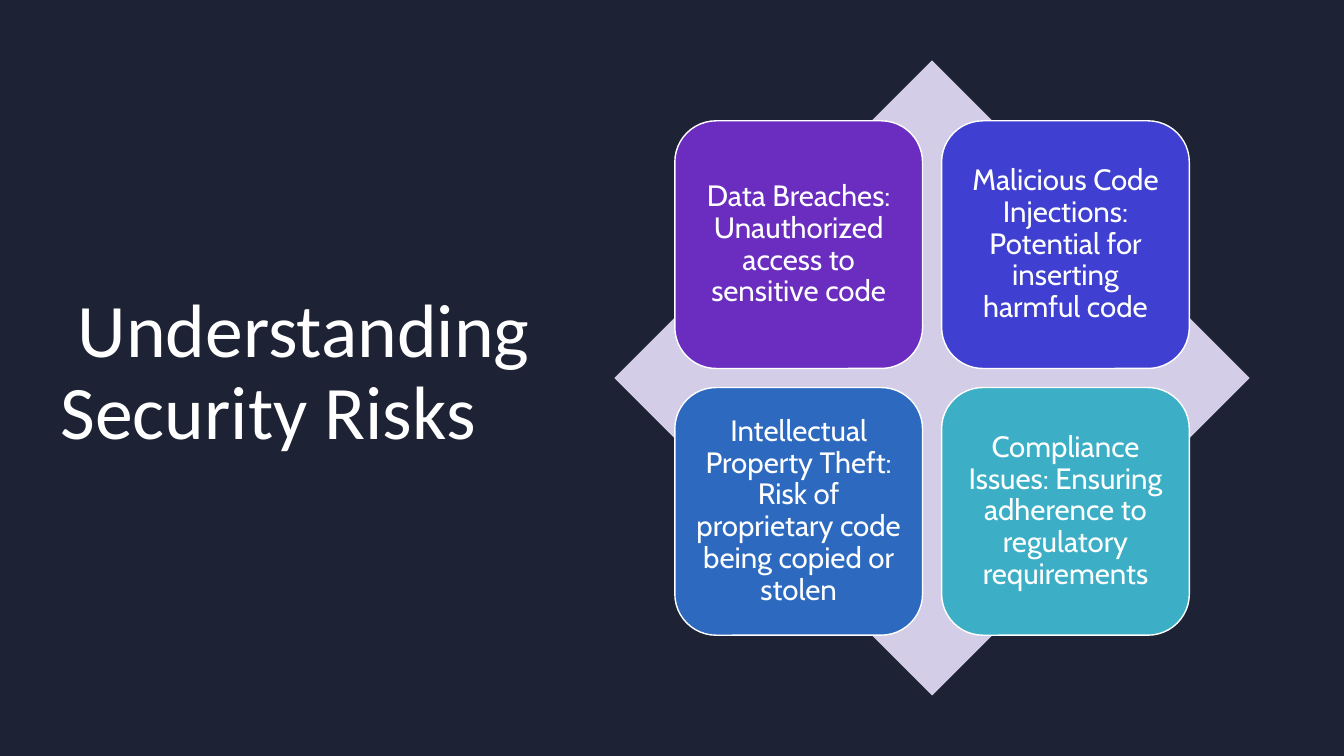
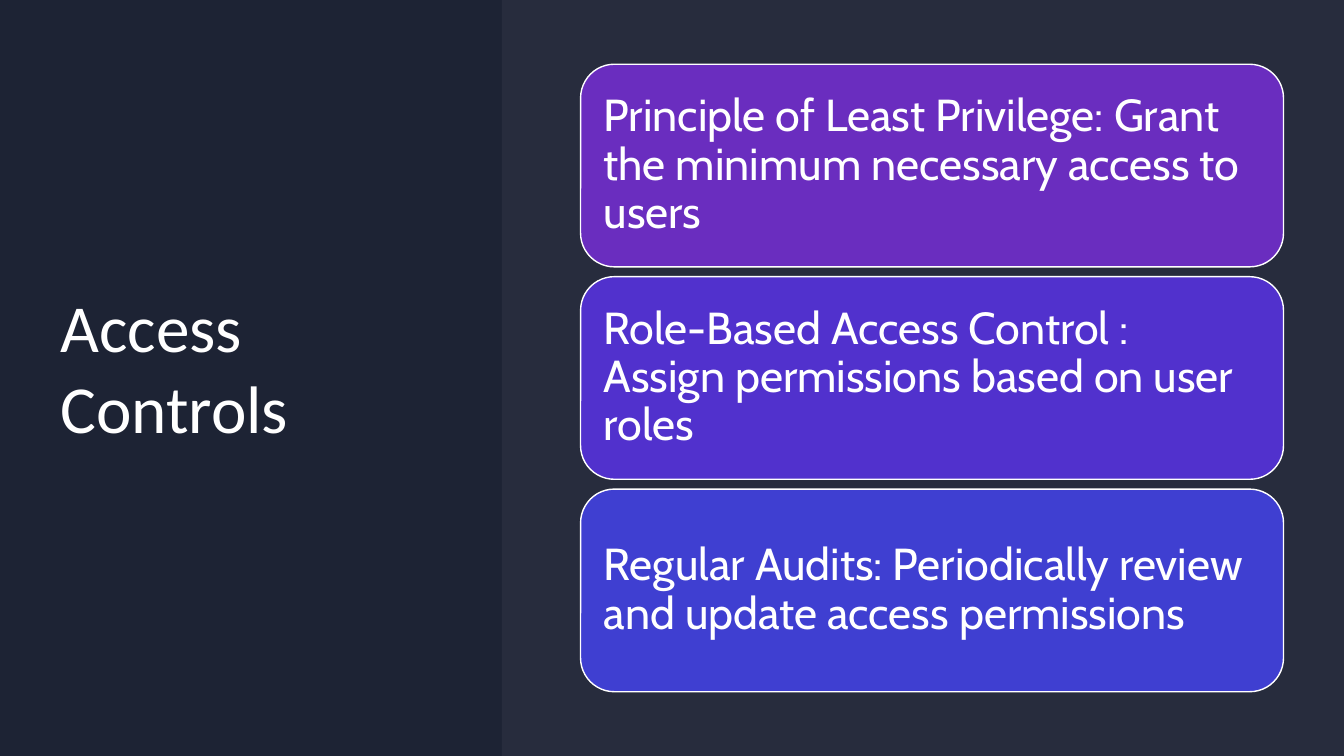
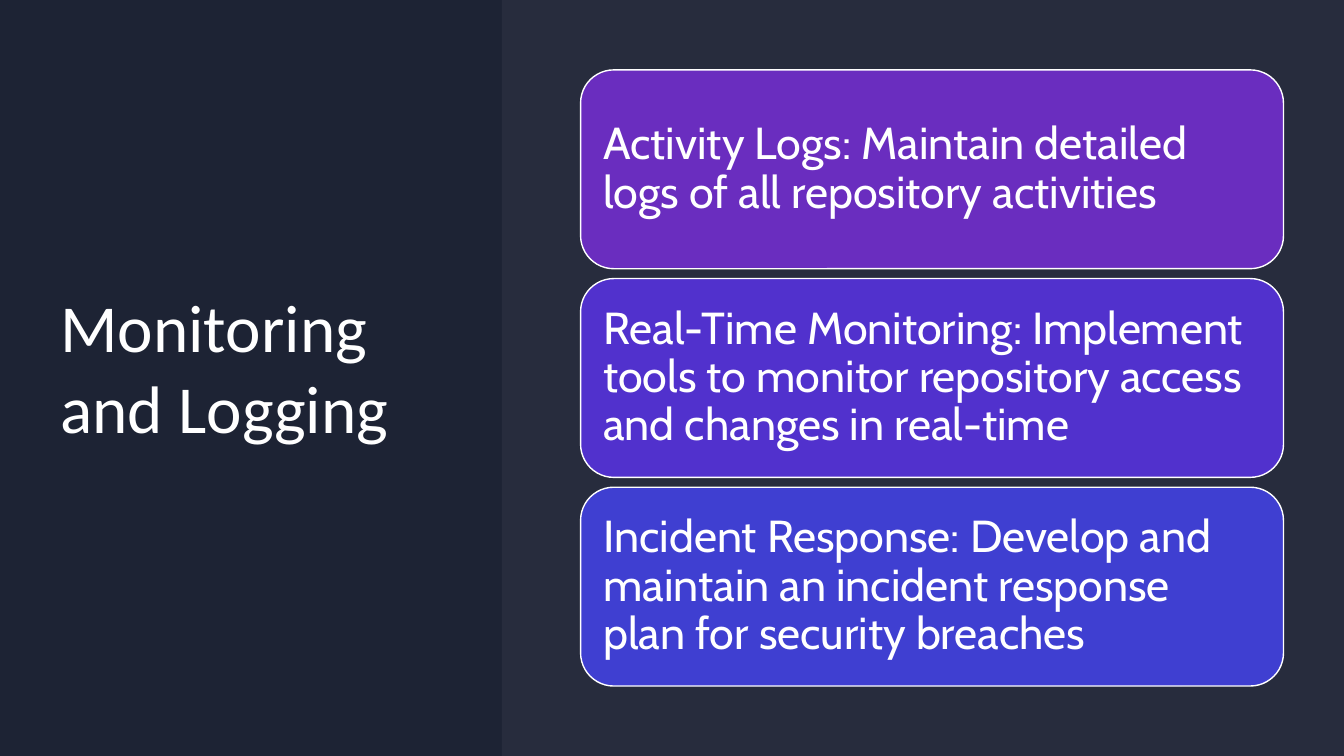
"""Build three dark slides on code repository security."""
import lxml.etree
import pptx
import pptx.dml.color
import pptx.enum.shapes
import pptx.enum.text
import pptx.oxml.ns
import pptx.util


class Theme:
    back = "1D2334"
    panel = "E3E7F0"
    gem = "D4CDE8"
    white = "FFFFFF"
    quad = ["6A2DBF", "3F3FD1", "2D6ABF", "3CAFC6"]
    stack = ["6A2DBF", "5131CD", "3F3FD1"]
    head = "Calibri"
    body = "Cabin"
    big, large, mid, small = 54, 48, 32, 21


RGB = pptx.dml.color.RGBColor.from_string
KIND = pptx.enum.shapes.MSO_SHAPE
ALIGN = pptx.enum.text.PP_ALIGN

deck = pptx.Presentation()
deck.slide_width = pptx.util.Inches(13.33)
deck.slide_height = pptx.util.Inches(7.5)
wide, high = deck.slide_width, deck.slide_height
mid_x, mid_y = wide * 0.6935, high / 2
edge = wide * 0.045

fill = deck.slide_master.background.fill
fill.solid()
fill.fore_color.rgb = RGB(Theme.back)
plain = deck.slide_layouts.get_by_name("Title Only")


def write(shape, text, size, font=Theme.body, align=ALIGN.LEFT, space=0.9, inset=0):
    frame = shape.text_frame
    frame.word_wrap = True
    frame.auto_size = pptx.enum.text.MSO_AUTO_SIZE.NONE
    frame.vertical_anchor = pptx.enum.text.MSO_ANCHOR.MIDDLE
    frame.margin_left = frame.margin_right = pptx.util.Inches(inset)
    frame.margin_top = frame.margin_bottom = pptx.util.Inches(inset)
    para = frame.paragraphs[0]
    para.alignment = align
    para.line_spacing = space
    run = para.add_run()
    run.text = text
    run.font.name = font
    run.font.size = pptx.util.Pt(size)
    run.font.color.rgb = RGB(Theme.white)


def draw(slide, kind, color, x, y, w, h, line=None):
    shape = slide.shapes.add_shape(kind, *map(int, (x, y, w, h)))
    shape.shadow.inherit = False
    shape.fill.solid()
    shape.fill.fore_color.rgb = RGB(color)
    if line:
        shape.line.color.rgb = RGB(line)
        shape.line.width = pptx.util.Pt(1)
    else:
        shape.line.fill.background()
    return shape


slide = deck.slides.add_slide(plain)
title = slide.shapes.title
title.left, title.top = int(edge), int(high * 0.22)
title.width, title.height = int(wide * 0.372), int(high * 0.55)
write(title, " Understanding Security Risks", Theme.big, font=Theme.head)

side = high * 0.84
card, gap = side * 0.39, side * 0.03
draw(slide, KIND.DIAMOND, Theme.gem, mid_x - side / 2, mid_y - side / 2, side, side)
risks = [
    "Data Breaches: Unauthorized access to sensitive code",
    "Malicious Code Injections: Potential for inserting harmful code",
    "Intellectual Property Theft: Risk of proprietary code being copied or stolen",
    "Compliance Issues: Ensuring adherence to regulatory requirements",
]
for num, (risk, color) in enumerate(zip(risks, Theme.quad)):
    row, col = divmod(num, 2)
    x = mid_x - card - gap / 2 + col * (card + gap)
    y = mid_y - card - gap / 2 + row * (card + gap)
    box = draw(slide, KIND.ROUNDED_RECTANGLE, color, x, y, card, card, line=Theme.white)
    write(box, risk, Theme.small, align=ALIGN.CENTER, inset=0.09)

lists = [
    ("Access Controls", 0.268, [
        "Principle of Least Privilege: Grant the minimum necessary access to users",
        "Role-Based Access Control : Assign permissions based on user roles",
        "Regular Audits: Periodically review and update access permissions",
    ]),
    ("Monitoring and Logging", 0.263, [
        "Activity Logs: Maintain detailed logs of all repository activities",
        "Real-Time Monitoring: Implement tools to monitor repository access and changes in real-time",
        "Incident Response: Develop and maintain an incident response plan for security breaches",
    ]),
]
span, gap = wide * 0.523, high * 0.013
start = wide * 0.3735
for name, share, items in lists:
    slide = deck.slides.add_slide(plain)
    title = slide.shapes.title
    title.left, title.top = int(edge), int(high * 0.08)
    title.width, title.height = int(wide * 0.2925), int(high * 0.808)
    write(title, name, Theme.large, font=Theme.head, space=1.0)

    panel = draw(slide, KIND.RECTANGLE, Theme.panel, start, 0, wide - start, high)
    tint = panel.element.spPr.find(".//" + pptx.oxml.ns.qn("a:srgbClr"))
    lxml.etree.SubElement(tint, pptx.oxml.ns.qn("a:alpha"), val="5000")

    tall = high * share
    top = mid_y - 1.5 * tall - gap
    for row, (item, color) in enumerate(zip(items, Theme.stack)):
        y = top + row * (tall + gap)
        box = draw(slide, KIND.ROUNDED_RECTANGLE, color, mid_x - span / 2, y, span, tall, line=Theme.white)
        write(box, item, Theme.mid, inset=0.13)

deck.save("out.pptx")
